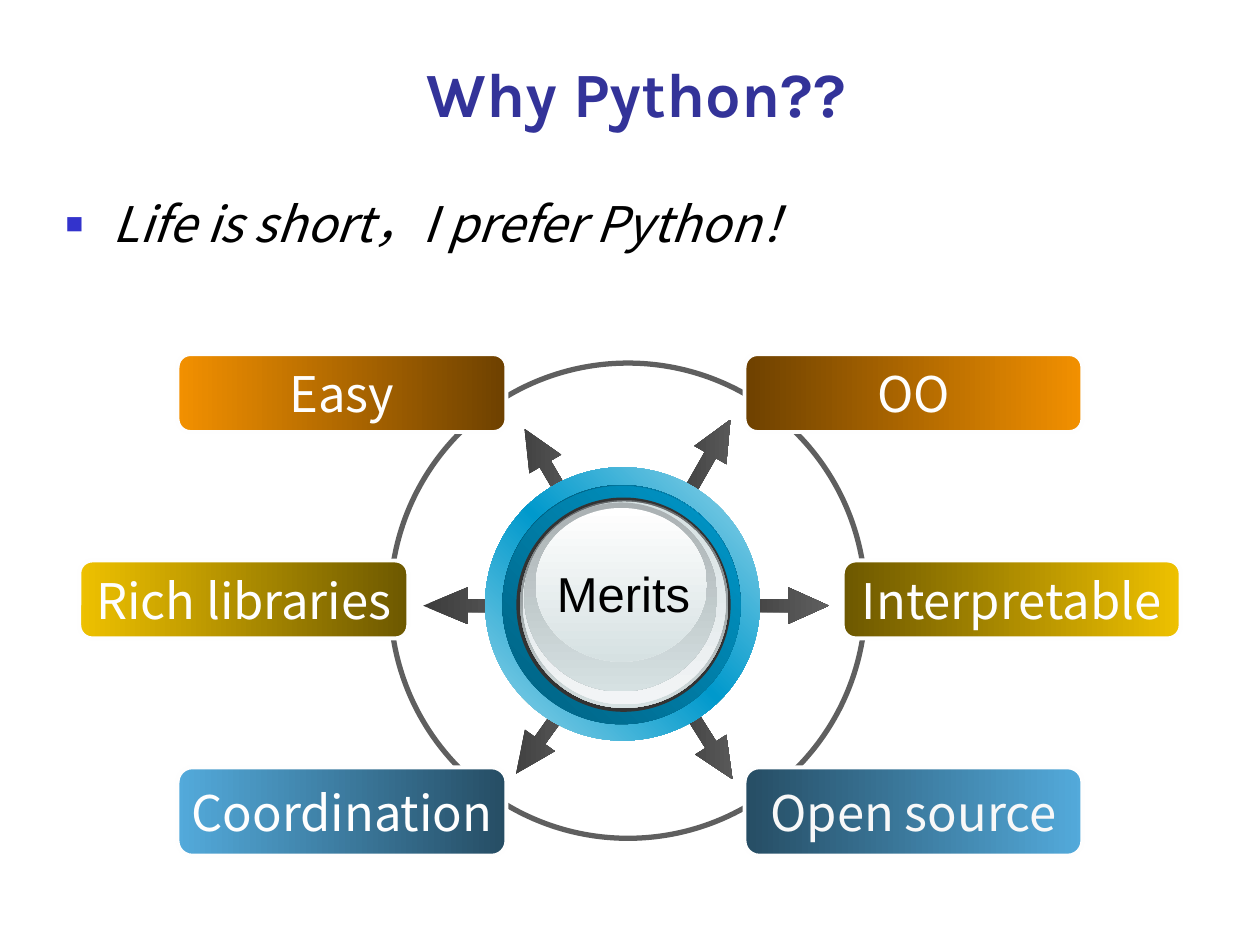
import pptx
import pptx.dml.color
import pptx.enum.shapes
import pptx.enum.text
import pptx.oxml.ns
import pptx.util
from lxml import etree
from pptx.util import Cm

SHAPE = pptx.enum.shapes.MSO_SHAPE
ALIGN = pptx.enum.text.PP_ALIGN
ANCHOR = pptx.enum.text.MSO_ANCHOR
FIT = pptx.enum.text.MSO_AUTO_SIZE
qn = pptx.oxml.ns.qn

COLOURS = {
    "title": "333399", "bullet": "3333CC", "black": "000000",
    "label": "FEFEFE", "soft label": "F8F8F8",
    "orange": "F29000", "brown": "6E4100",
    "yellow": "EEC100", "olive": "6D5800",
    "sky": "53AADB", "navy": "264D64",
    "dark grey": "3C3C3C", "grey": "5F5F5F", "rim": "333333",
    "pale blue": "95D5E9", "blue": "0099CC",
    "deep blue": "00526E", "mid blue": "006080",
    "steel": "626668", "silver": "A9B0B2", "mist": "D6E1E2",
    "pearl": "F2F4F6", "white": "FFFFFF",
}
CJK = "Noto Sans CJK JP"
ROWS = [
    (7.14, 1.57, 3.58, 15.01, "Easy", "OO", "orange", "brown", "label"),
    (11.3, 1.57, 1.6, 16.99, "Rich libraries", "Interpretable", "yellow", "olive", "label"),
    (15.47, 1.78, 3.58, 15.01, "Coordination", "Open source", "sky", "navy", "soft label"),
]
ARROWS = [
    (13.21, 8.97, 2.03, 299.6), (13.21, 14.48, 2.03, 57.8),
    (10.08, 9.14, 2.01, 239.5), (9.98, 14.4, 2.03, 125.6),
    (14.68, 11.84, 2.03, 0), (8.53, 11.84, 2.21, 180),
]
DISCS = [
    ((9.78, 9.42, 5.54, 5.51), ("pale blue", "blue", "pale blue"), 315),
    ((10.13, 9.78, 4.8, 4.8), ("deep blue", "blue", "deep blue"), 45),
    ((10.13, 9.8, 4.8, 4.8), ("mid blue", "blue"), 315),
    ((10.41, 10.03, 4.32, 4.32), ("rim",), 0),
    ((10.49, 10.08, 4.19, 4.19), ("steel", "mist"), 90),
    ((10.54, 10.11, 4.09, 4.09), ("mist", "pearl"), 90),
    ((10.57, 10.13, 3.89, 3.81), ("silver", "mist"), 90),
    ((10.8, 10.24, 3.45, 3.1), ("white", "mist"), 90),
]


def colour(name):
    """Return the named colour."""
    return pptx.dml.color.RGBColor.from_string(COLOURS[name])


def apply(target, values):
    """Set each named attribute on the target."""
    for name, value in values.items():
        setattr(target, name, value)


def place(shape, left, top, width, height):
    """Move and size a shape, in centimetres."""
    apply(shape, {"left": Cm(left), "top": Cm(top), "width": Cm(width), "height": Cm(height)})


def write(shape, text, size, face, ink, frame, paragraph=None, **style):
    """Put one formatted paragraph into a shape and return it."""
    apply(shape.text_frame, frame)
    para = shape.text_frame.paragraphs[0]
    apply(para, {"alignment": ALIGN.CENTER, "space_before": pptx.util.Pt(0), **(paragraph or {})})
    span = para.add_run()
    span.text = text
    apply(span.font, {"size": pptx.util.Pt(size), "name": face, **style})
    span.font.color.rgb = colour(ink)
    etree.SubElement(span.font._element, qn("a:ea"), typeface=face)
    return para


def paint(shape, names, angle=0):
    """Fill a shape with one colour or with evenly spaced gradient stops."""
    if len(names) == 1:
        shape.fill.solid()
        shape.fill.fore_color.rgb = colour(names[0])
        return
    shape.fill.gradient()
    shape.fill.gradient_angle = (360 - angle) % 360
    stops = shape._element.spPr.find(".//" + qn("a:gsLst"))
    for stop in list(stops):
        stops.remove(stop)
    for index, name in enumerate(names):
        position = 100000 * index // (len(names) - 1)
        stop = etree.SubElement(stops, qn("a:gs"), pos=str(position))
        etree.SubElement(stop, qn("a:srgbClr"), val=COLOURS[name])


def add_figure(shapes, kind, box, names=(), angle=0, line=None, weight=0):
    """Add a preset shape with its fill and outline."""
    figure = shapes.add_shape(kind, *map(Cm, box))
    figure.shadow.inherit = False
    if names:
        paint(figure, names, angle)
    else:
        figure.fill.background()
    if line:
        figure.line.color.rgb = colour(line)
        figure.line.width = pptx.util.Pt(weight)
    else:
        figure.line.fill.background()
    return figure


def add_bullet(para):
    """Give a paragraph a hanging square bullet."""
    properties = para._p.get_or_add_pPr()
    indents = {"marL": str(Cm(0.95)), "indent": str(-Cm(0.95))}
    for name, value in indents.items():
        properties.set(name, value)
    tint = etree.SubElement(properties, qn("a:buClr"))
    etree.SubElement(tint, qn("a:srgbClr"), val=COLOURS["bullet"])
    etree.SubElement(properties, qn("a:buSzPct"), val="60000")
    etree.SubElement(properties, qn("a:buFont"), typeface="Arial")
    etree.SubElement(properties, qn("a:buChar"), char="■")


def add_heading(page):
    """Fill the title and body placeholders."""
    title, body = page.placeholders
    place(title, 2.11, 0.64, 21.44, 2.11)
    write(title, "Why Python??", 36, "Karla", "title",
          {"vertical_anchor": ANCHOR.BOTTOM, "auto_size": FIT.NONE}, bold=True)
    place(body, 1.07, 4.01, 23.5, 14.17)
    para = write(body, "Life is short，I prefer Python！", 28, "Noto Sans CJK SC", "black",
                 {"vertical_anchor": ANCHOR.TOP, "auto_size": FIT.NONE},
                 {"alignment": ALIGN.LEFT, "line_spacing": 0.8}, italic=True)
    add_bullet(para)


def add_arrow(page, left, top, width, turn):
    """Add one spoke arrow turned outward."""
    arrow = add_figure(page.shapes, SHAPE.RIGHT_ARROW, (left, top, width, 0.74),
                       ("dark grey", "grey"), (360 - turn) % 360)
    arrow.rotation = turn
    arrow.adjustments[0] = 0.35
    arrow.adjustments[1] = 1.21 if turn == 180 else 1.11


def add_hub(page):
    """Add the layered button with its caption."""
    hub = page.shapes.add_group_shape().shapes
    for box, names, angle in DISCS:
        add_figure(hub, SHAPE.OVAL, box, names, angle)
    caption = hub.add_textbox(Cm(10.57), Cm(11.23), Cm(4), Cm(1.45))
    write(caption, "Merits", 28, "Arial", "black",
          {"word_wrap": True, "auto_size": FIT.NONE})


def add_label(page, box, text, names, ink):
    """Add one rounded label."""
    label = add_figure(page.shapes, SHAPE.ROUNDED_RECTANGLE, box, names, 0, "label", 2.25)
    write(label, text, 28, CJK, ink, {"word_wrap": False, "vertical_anchor": ANCHOR.MIDDLE})


def main():
    """Build and save the slide."""
    deck = pptx.Presentation()
    apply(deck, {"slide_width": Cm(25.4), "slide_height": Cm(19.05)})
    page = deck.slides.add_slide(deck.slide_layouts[1])
    add_heading(page)
    for arrow in ARROWS:
        add_arrow(page, *arrow)
    add_figure(page.shapes, SHAPE.OVAL, (7.87, 7.32, 9.58, 9.58), line="grey", weight=3)
    add_hub(page)
    for top, height, left, right, first, second, bright, dark, ink in ROWS:
        add_label(page, (left, top, 6.63, height), first, (bright, dark), "label")
        add_label(page, (right, top, 6.81, height), second, (dark, bright), ink)
    deck.save("out.pptx")


if __name__ == "__main__":
    main()
